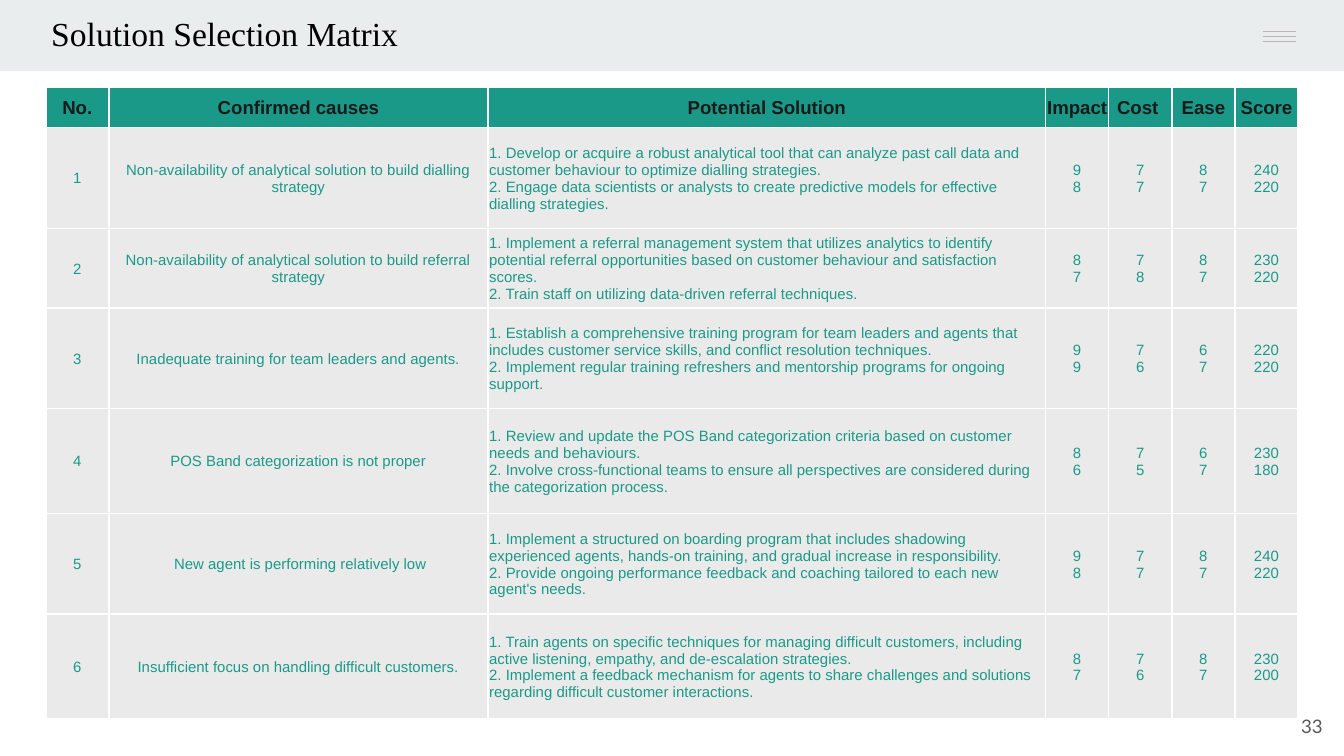
"""Build the Solution Selection Matrix slide."""
from copy import deepcopy

from lxml.etree import SubElement
from pptx import Presentation
from pptx.dml.color import RGBColor
from pptx.enum.shapes import MSO_CONNECTOR, MSO_SHAPE
from pptx.enum.text import MSO_ANCHOR, PP_ALIGN
from pptx.oxml.ns import qn
from pptx.util import Inches, Pt

TEAL = RGBColor(0x1A, 0x99, 0x88)
INK = RGBColor(0x1A, 0x1A, 0x1A)
BLACK = RGBColor(0, 0, 0)
WHITE = RGBColor(0xFF, 0xFF, 0xFF)
BAND_GREY = RGBColor(0xE9, 0xED, 0xEE)
CELL_GREY = RGBColor(0xEA, 0xEA, 0xEA)
MENU_GREY = RGBColor(0xB7, 0xB7, 0xB7)
NUMBER_GREY = RGBColor(0x59, 0x59, 0x59)

UNIT = Inches(10) / 100


def grid(*counts):
    return [round(count * UNIT) for count in counts]


def write(paragraph, text, face, size, color, bold=False):
    for index, line in enumerate(text.split("\n")):
        if index:
            paragraph.add_line_break()
        run = paragraph.add_run()
        run.text = line
        run.font.name, run.font.size, run.font.bold = face, Pt(size), bold
        run.font.color.rgb = color
    for line_break in paragraph._p.findall(qn("a:br")):
        line_break.append(deepcopy(run._r.get_or_add_rPr()))


HEADINGS = ["No.", "Confirmed causes", "Potential Solution", "Impact", "Cost ", "Ease", "Score"]
SOLUTIONS = [
    ("Non-availability of analytical solution to build dialling strategy",
     "1. Develop or acquire a robust analytical tool that can analyze past call data and "
     "customer behaviour to optimize dialling strategies.\n"
     "2. Engage data scientists or analysts to create predictive models for effective "
     "dialling strategies.",
     "9\n8", "7\n7", "8\n7", "240\n220"),
    ("Non-availability of analytical solution to build referral strategy",
     "1. Implement a referral management system that utilizes analytics to identify "
     "potential referral opportunities based on customer behaviour and satisfaction scores.\n"
     "2. Train staff on utilizing data-driven referral techniques.",
     "8\n7", "7\n8", "8\n7", "230\n220"),
    ("Inadequate training for team leaders and agents.",
     "1. Establish a comprehensive training program for team leaders and agents that "
     "includes customer service skills, and conflict resolution techniques.\n"
     "2. Implement regular training refreshers and mentorship programs for ongoing support.",
     "9\n9", "7\n6", "6\n7", "220\n220"),
    ("POS Band categorization is not proper",
     "1. Review and update the POS Band categorization criteria based on customer needs "
     "and behaviours.\n"
     "2. Involve cross-functional teams to ensure all perspectives are considered during "
     "the categorization process.",
     "8\n6", "7\n5", "6\n7", "230\n180"),
    (" New agent is performing relatively low",
     "1. Implement a structured on boarding program that includes shadowing experienced "
     "agents, hands-on training, and gradual increase in responsibility.\n"
     "2. Provide ongoing performance feedback and coaching tailored to each new agent's needs.",
     "9\n8", "7\n7", "8\n7", "240\n220"),
    ("Insufficient focus on handling difficult customers.",
     "1. Train agents on specific techniques for managing difficult customers, including "
     "active listening, empathy, and de-escalation strategies.\n"
     "2. Implement a feedback mechanism for agents to share challenges and solutions "
     "regarding difficult customer interactions.",
     "8\n7", "7\n6", "8\n7", "230\n200"),
]
MATRIX = [HEADINGS] + [(str(number), *row) for number, row in enumerate(SOLUTIONS, 1)]
COLUMN_WIDTHS = grid(4.7, 28.2, 41.5, *[4.7] * 4)
ROW_HEIGHTS = grid(3, 7.5, 5.9, 7.5, 7.8, 7.5, 7.8)

deck = Presentation()
deck.slide_width, deck.slide_height = grid(100, 56.25)
slide = deck.slides.add_slide(deck.slide_layouts[6])
shapes = slide.shapes

for band_area in [(0, 0, 100, 5.3), (90.6, 0, 9.4, 5)]:
    band = shapes.add_shape(MSO_SHAPE.RECTANGLE, *grid(*band_area))
    band.shadow.inherit = False
    band.fill.solid()
    band.fill.fore_color.rgb = BAND_GREY
    band.line.fill.background()

for index in range(3):
    level = 2.35 + 0.37 * index
    menu_bar = shapes.add_connector(MSO_CONNECTOR.STRAIGHT, *grid(94, level, 96.4, level))
    menu_bar.line.color.rgb = MENU_GREY
    menu_bar.line.width = Pt(0.75)
    SubElement(menu_bar._element.spPr, qn("a:effectLst"))

title = shapes.add_textbox(*grid(2.2, 0, 87.9, 5.3)).text_frame
page_number = shapes.add_textbox(*grid(93.4, 51.9, 6, 4.3)).text_frame
for frame in (title, page_number):
    frame.word_wrap = True
    frame.margin_left, frame.margin_top, frame.margin_right, frame.margin_bottom = grid(1, 1, 1, 1)
write(title.paragraphs[0], " ", "Times New Roman", 18, TEAL)
write(title.paragraphs[0], "Solution Selection Matrix", "Times New Roman", 18, BLACK)
page_number.vertical_anchor = MSO_ANCHOR.MIDDLE
page_number.paragraphs[0].alignment = PP_ALIGN.RIGHT
write(page_number.paragraphs[0], "33", "Lato", 10, NUMBER_GREY)

matrix = shapes.add_table(len(MATRIX), len(HEADINGS), *grid(3.4, 6.5),
                          sum(COLUMN_WIDTHS), sum(ROW_HEIGHTS)).table
matrix.first_row = matrix.horz_banding = False
for column, width in zip(matrix.columns, COLUMN_WIDTHS):
    column.width = width
for row, height in zip(matrix.rows, ROW_HEIGHTS):
    row.height = height

for row_index, entries in enumerate(MATRIX):
    is_heading = row_index == 0
    for column_index, entry in enumerate(entries):
        cell = matrix.cell(row_index, column_index)
        cell.vertical_anchor = MSO_ANCHOR.MIDDLE
        cell.margin_left, cell.margin_top, cell.margin_right, cell.margin_bottom = grid(0.1, 0.1, 0.1, 0)
        for side in ("a:lnL", "a:lnR", "a:lnT", "a:lnB"):
            border = SubElement(cell._tc.get_or_add_tcPr(), qn(side), w=str(Pt(1)))
            SubElement(SubElement(border, qn("a:solidFill")), qn("a:srgbClr"), val=str(WHITE))
        cell.fill.solid()
        cell.fill.fore_color.rgb = TEAL if is_heading else CELL_GREY
        paragraph = cell.text_frame.paragraphs[0]
        is_solution = column_index == 2 and not is_heading
        paragraph.alignment = PP_ALIGN.LEFT if is_solution else PP_ALIGN.CENTER
        if is_heading:
            write(paragraph, entry, "Arial", 10, INK, bold=True)
        else:
            write(paragraph, entry, "Arial", 8, TEAL)

deck.save("out.pptx")
